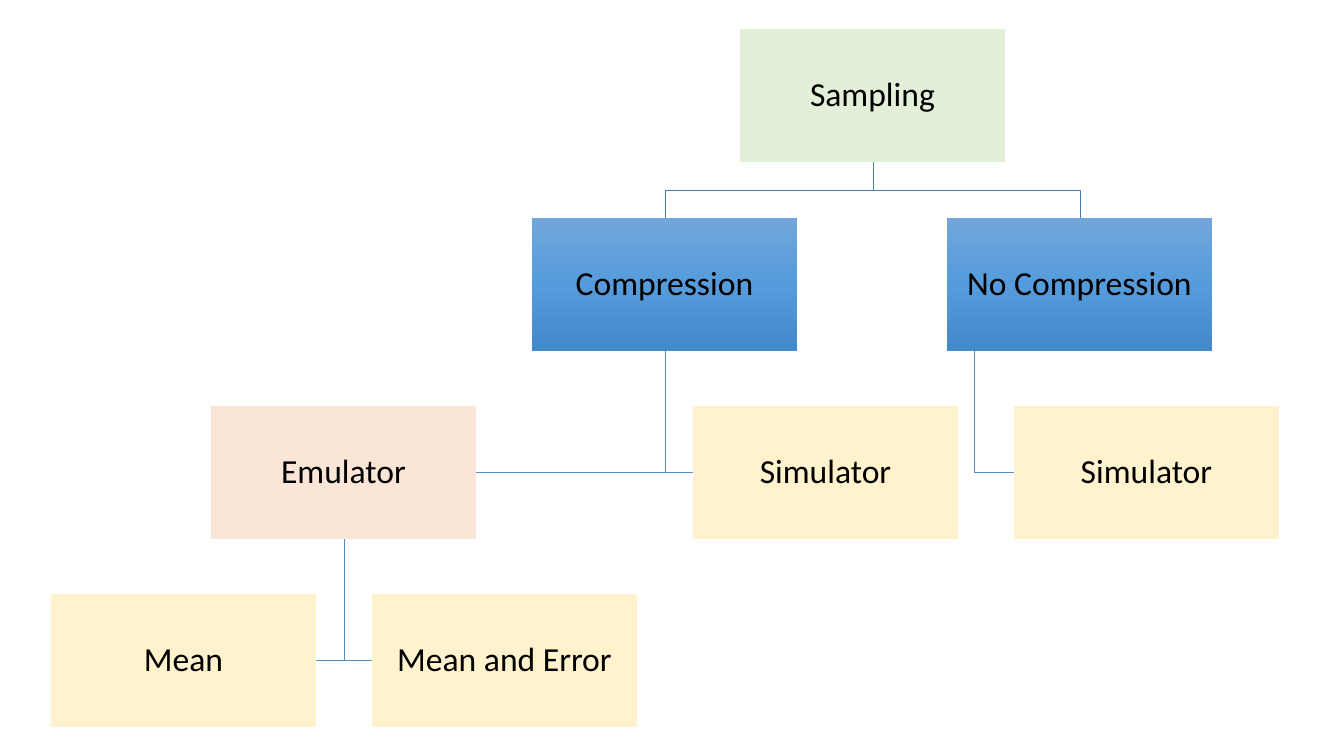
from copy import deepcopy

from pptx import Presentation
from pptx.dml.color import RGBColor
from pptx.enum.shapes import MSO_SHAPE
from pptx.enum.text import MSO_ANCHOR, PP_ALIGN
from pptx.util import Pt

RECTANGLE = MSO_SHAPE.RECTANGLE
MIDDLE = MSO_ANCHOR.MIDDLE
CENTER = PP_ALIGN.CENTER

SCALE = 914400 / 100.8  # EMU per pixel
BOX_WIDTH, BOX_HEIGHT = 265, 133
HALF_WIDTH, HALF_HEIGHT = 133, 66
ROW_TOPS = (29, 218, 406, 594)
INSET = 2

COLORS = {
    "text": "000000",
    "sampling": "E2F0D9",
    "emulator": "FBE5D6",
    "leaf": "FFF2CC",
    "top link": "497CAB",
    "lower link": "538DC1",
}
GRADIENT = ("71A6DB", "559BDB", "448ACA")

# Key: (label, left, row, fill)
NODES = {
    "sampling": ("Sampling", 740, 0, "sampling"),
    "compression": ("Compression", 532, 1, "gradient"),
    "emulator": ("Emulator", 211, 2, "emulator"),
    "mean": ("Mean", 51, 3, "leaf"),
    "error": ("Mean and Error", 372, 3, "leaf"),
    "simulator": ("Simulator", 693, 2, "leaf"),
    "no compression": ("No Compression", 947, 1, "gradient"),
    "plain simulator": ("Simulator", 1014, 2, "leaf"),
}

# (parent, child, trunk offset from the parent's left edge)
LINKS = (
    ("no compression", "plain simulator", 27),
    ("sampling", "no compression", HALF_WIDTH),
    ("compression", "simulator", HALF_WIDTH),
    ("emulator", "error", HALF_WIDTH),
    ("emulator", "mean", HALF_WIDTH),
    ("compression", "emulator", HALF_WIDTH),
    ("sampling", "compression", HALF_WIDTH),
)


def emu(pixels):
    return round(pixels * SCALE)


deck = Presentation()
deck.slide_width, deck.slide_height = emu(1344), emu(756)
page = deck.slides.add_slide(deck.slide_layouts[6])

# Links, behind the boxes
for parent, child, offset in LINKS:
    _, parent_left, parent_row, _ = NODES[parent]
    _, child_left, child_row, _ = NODES[child]
    trunk = parent_left + offset
    start = ROW_TOPS[parent_row] + BOX_HEIGHT
    child_top = ROW_TOPS[child_row]
    if parent == "sampling":
        # Fork that enters the child from above
        bend = (start + child_top) // 2
        child_middle = child_left + HALF_WIDTH
        points = [(trunk, bend), (child_middle, bend), (child_middle, child_top)]
        color = COLORS["top link"]
    else:
        # Hanging branch that enters the child from the side
        bend = child_top + HALF_HEIGHT
        edge = child_left if child_left > trunk else child_left + BOX_WIDTH
        points = [(trunk, bend), (edge, bend)]
        color = COLORS["lower link"]
    builder = page.shapes.build_freeform(emu(trunk), emu(start))
    builder.add_line_segments([(emu(x), emu(y)) for x, y in points], close=False)
    link = builder.convert_to_shape()
    link.shadow.inherit = False
    link.fill.background()
    link.line.color.rgb = RGBColor.from_string(color)
    link.line.width = Pt(0.5)

# Boxes
for label, left, row, fill in NODES.values():
    box = page.shapes.add_shape(
        RECTANGLE, emu(left), emu(ROW_TOPS[row]), emu(BOX_WIDTH), emu(BOX_HEIGHT)
    )
    box.shadow.inherit = False
    box.line.fill.background()
    if fill == "gradient":
        box.fill.gradient()
        box.fill.gradient_angle = 270
        # The default gradient has two stops; add a third
        stop_list = box._element.spPr.find(".//{*}gsLst")
        stop_list.append(deepcopy(stop_list[-1]))
        for index, stop in enumerate(box.fill.gradient_stops):
            stop.position = index / 2
            stop.color.rgb = RGBColor.from_string(GRADIENT[index])
    else:
        box.fill.solid()
        box.fill.fore_color.rgb = RGBColor.from_string(COLORS[fill])

    frame = box.text_frame
    frame.word_wrap = True
    frame.vertical_anchor = MIDDLE
    frame.margin_left = frame.margin_right = emu(INSET)
    frame.margin_top = frame.margin_bottom = emu(INSET)
    para = frame.paragraphs[0]
    para.text = label
    para.alignment = CENTER
    para.line_spacing = 0.9
    para.font.name = "Calibri"
    para.font.size = Pt(24)
    para.font.color.rgb = RGBColor.from_string(COLORS["text"])

deck.save("out.pptx")
